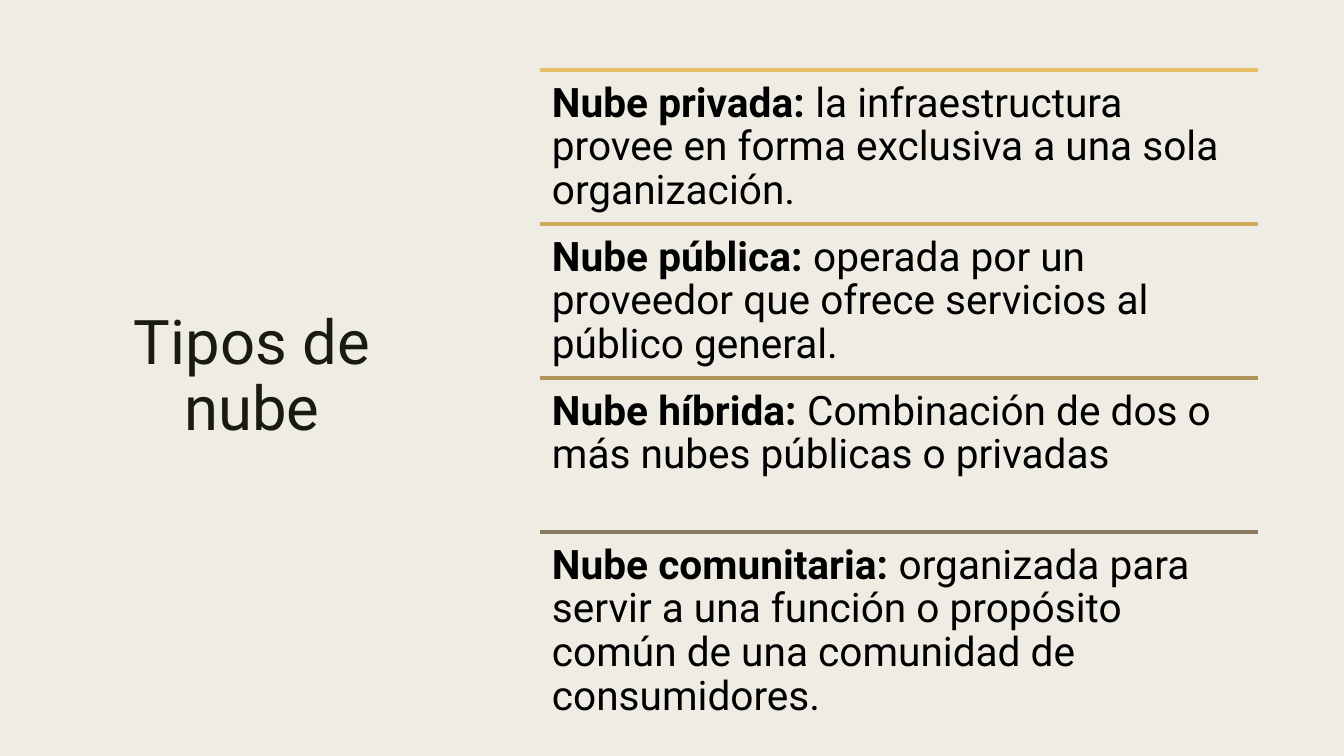
from pptx import Presentation, util as u
from pptx.dml.color import RGBColor
from pptx.enum import shapes, text
from pptx.oxml.ns import qn
from lxml import etree

PX = 914400 / 100.8


def px(*vals):
    return [u.Emu(round(v * PX)) for v in vals]


def write(par, words, size, color="000000", bold=False, space=0.9, align=text.PP_ALIGN.LEFT):
    par.alignment, par.line_spacing = align, space
    run = par.add_run()
    run.text = words
    font = run.font
    font.name, font.size, font.bold = "Roboto", u.Pt(size), bold
    font.color.rgb = RGBColor.from_string(color)


# Slide and background
deck = Presentation()
deck.slide_width, deck.slide_height = px(1344, 756)
slide = deck.slides.add_slide(deck.slide_layouts[5])
back = slide.background.fill
back.solid()
back.fore_color.rgb = RGBColor.from_string("EFEDE3")

# Title
title = slide.shapes.title
title.left, title.top, title.width, title.height = px(70, 70, 364, 616)
frame = title.text_frame
frame.word_wrap = True
frame.auto_size = text.MSO_AUTO_SIZE.NONE
frame.vertical_anchor = text.MSO_ANCHOR.MIDDLE
write(frame.paragraphs[0], "Tipos de nube", 44, "191B0E", space=0.89,
      align=text.PP_ALIGN.CENTER)

# Cloud types: a rule above each definition
clouds = [
    ("E6C069", "Nube privada: ",
     "la infraestructura provee en forma exclusiva a una sola organización."),
    ("CEAB5F", "Nube pública: ",
     "operada por un proveedor que ofrece servicios al público general."),
    ("B0945B", "Nube híbrida: ",
     "Combinación de dos o más nubes públicas o privadas"),
    ("897B61", "Nube comunitaria: ",
     "organizada para servir a una función o propósito común de una comunidad de consumidores."),
]
left, top, wide, step = 540, 70, 718, 154
for i, (color, name, detail) in enumerate(clouds):
    y = top + i * step
    rule = slide.shapes.add_connector(shapes.MSO_CONNECTOR.STRAIGHT,
                                      *px(left, y, left + wide, y))
    rule.line.color.rgb = RGBColor.from_string(color)
    rule.line.width = u.Pt(2.75)
    etree.SubElement(rule._element.spPr, qn("a:effectLst"))

    box = slide.shapes.add_textbox(*px(left, y, wide, step))
    frame = box.text_frame
    frame.word_wrap = True
    frame.margin_left, frame.margin_top, frame.margin_right, frame.margin_bottom = px(12, 12, 12, 12)
    par = frame.paragraphs[0]
    write(par, name, 29, bold=True)
    write(par, detail, 29)

deck.save("out.pptx")
